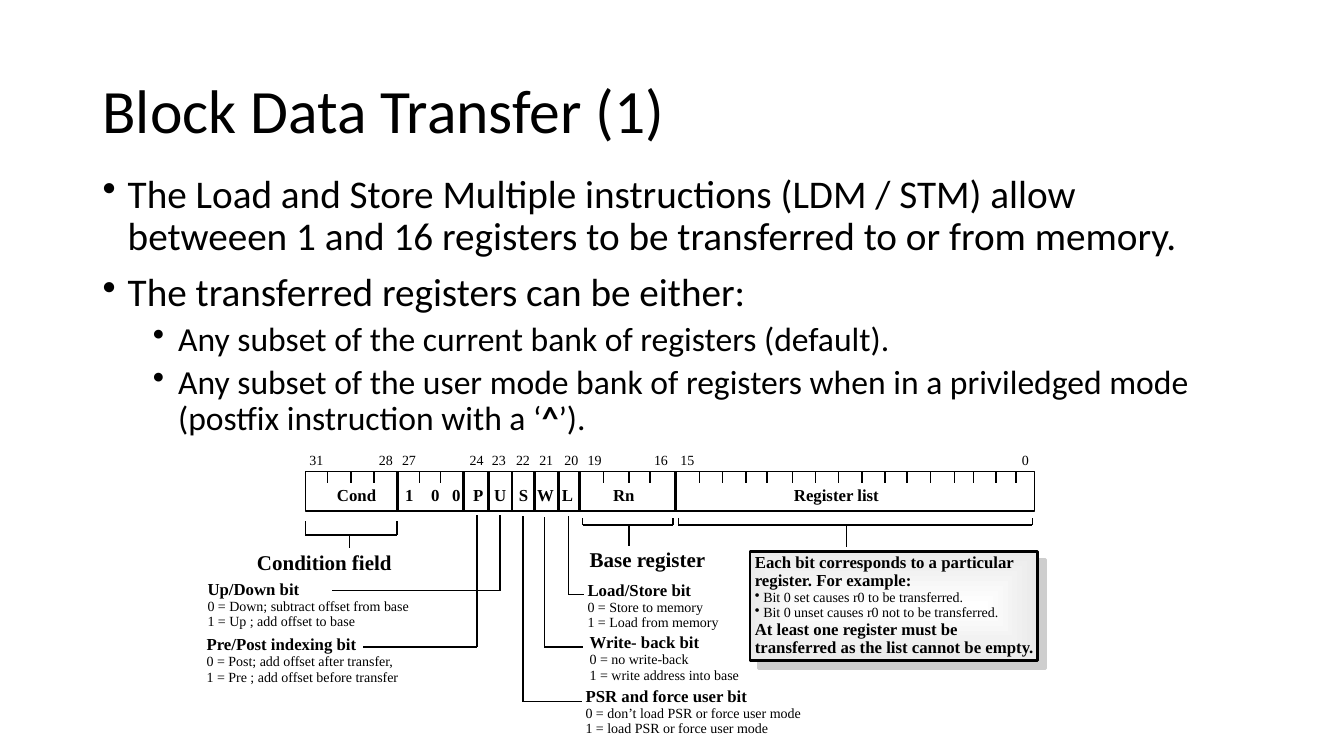
from lxml import etree
from pptx import Presentation
from pptx.dml.color import RGBColor
from pptx.enum import shapes, text
from pptx.oxml import ns
from pptx.util import Pt

COLORS = {"ink": "000000", "paper": "FFFFFF", "mist": "EAEAEA", "shade": "CECECE"}
SANS, SERIF = "Calibri", "Times New Roman"

BIT_NUMBERS = {
    31: 216, 28: 265.7, 27: 282.2, 24: 330.5, 23: 346.3, 22: 363.6,
    21: 380.2, 20: 398.2, 19: 414.7, 16: 462.2, 15: 481, 0: 725,
}
TICKS = [
    218.2, 234, 250.6, 267.1, 299.5, 314.6, 331.2, 349.2, 398.2, 414,
    431.3, 449.3, 464.4, 482.4, 499.7, 516.2, 532.8, 547.9, 565.9, 582.5,
    599, 615.6, 632.2, 648, 664.6, 681.8, 695.5, 711.4, 725.8,
]
DIVIDERS = [283.7, 331.2, 349.2, 365.8, 381.6, 398.9, 414, 482.4]
FIELDS = ["Cond", "1", "0", "0", "P", "U", "S", "W", "L", "Rn", "Register list"]
FIELD_TABS = [48.6, 67.2, 82.2, 97.2, 112.2, 130, 142.9, 160.7, 197.2, 326.4]
BRACKETS = [
    (218.2, 283.7, 372.2, 382.3, 249.8, 391.7),
    (416.2, 480.6, 370.1, 375.1, 449.3, 390.2),
    (484.6, 737.3, 370.1, 375.1, 604.8, 391),
]
LEADERS = [
    (340.6, 368, 462.2, 259.2),
    (357.1, 368, 422, 236.9),
    (406.1, 368.6, 424.8, 416.9),
    (388.8, 369.4, 462.2, 416.2),
    (373.7, 368.6, 501.1, 415.4),
]
BIT_NOTES = [
    ((414.7, 413.3, 105.1, 39.6), False,
     ["Load/Store bit", "0 = Store to memory", "1 = Load from memory"]),
    ((416.2, 450.7, 118.1, 39.6), False,
     ["Write- back bit", "0 = no write-back", "1 = write address into base"]),
    ((413.3, 488.9, 233.3, 39.6), True,
     ["PSR and force user bit", "0 = don’t load PSR or force user mode",
      "1 = load PSR or force user mode"]),
    ((143.3, 412.6, 156.2, 39.6), False,
     ["Up/Down bit", "0 = Down; subtract offset from base",
      "1 = Up ; add offset to base"]),
    ((142.6, 452.2, 149, 39.6), False,
     ["Pre/Post indexing bit", "0 = Post; add offset after transfer,",
      "1 = Pre ; add offset before transfer"]),
]


def rgb(name):
    return RGBColor.from_string(COLORS[name])


def style_run(run, font, size, bold=False):
    run.font.name = font
    run.font.size = Pt(size)
    run.font.bold = bold
    run.font.color.rgb = rgb("ink")


def add_text(slide, box, lines, font=SERIF, wrap=True, spacing=0.91, inset=(5, 2.2)):
    label = slide.shapes.add_textbox(*map(Pt, box))
    frame = label.text_frame
    frame.word_wrap = wrap
    frame.margin_left = frame.margin_right = Pt(inset[0])
    frame.margin_top = frame.margin_bottom = Pt(inset[1])
    frame.text = "\n".join(line for line, _, _ in lines)
    for paragraph, (_, size, bold) in zip(frame.paragraphs, lines):
        paragraph.line_spacing = spacing
        for run in paragraph.runs:
            style_run(run, font, size, bold)
    return frame


def add_bullet(paragraph, left, hanging):
    properties = paragraph._p.get_or_add_pPr()
    properties.set("marL", str(Pt(left)))
    properties.set("indent", str(-Pt(hanging)))
    etree.SubElement(properties, ns.qn("a:buChar"), char="•")


def add_tabs(paragraph, stops):
    tabs = etree.SubElement(paragraph._p.get_or_add_pPr(), ns.qn("a:tabLst"))
    for stop in stops:
        etree.SubElement(tabs, ns.qn("a:tab"), pos=str(Pt(stop)), algn="l")


def add_line(slide, x1, y1, x2, y2, width=1):
    line = slide.shapes.add_connector(
        shapes.MSO_CONNECTOR.STRAIGHT, *map(Pt, (x1, y1, x2, y2)))
    line.line.color.rgb = rgb("ink")
    line.line.width = Pt(width)
    etree.SubElement(line._element.spPr, ns.qn("a:effectLst"))


def add_bracket(slide, left, right, top, base, stem, bottom):
    add_line(slide, left, top, left, base)
    add_line(slide, left, base, right, base)
    add_line(slide, right, base, right, top)
    add_line(slide, stem, base, stem, bottom)


def add_leader(slide, x, top, bottom, end):
    add_line(slide, x, top, x, bottom)
    add_line(slide, x, bottom, end, bottom)


def add_box(slide, box, width):
    outline = slide.shapes.add_shape(shapes.MSO_SHAPE.RECTANGLE, *map(Pt, box))
    outline.shadow.inherit = False
    outline.fill.background()
    outline.line.color.rgb = rgb("ink")
    outline.line.width = Pt(width)
    return outline


def add_note_panel(slide):
    panel = add_box(slide, (535.7, 393.8, 205.2, 77.8), 2)
    panel.fill.gradient()
    for stop, name in zip(panel.fill.gradient_stops, ("paper", "mist")):
        stop.color.rgb = rgb(name)
    properties = panel._element.spPr
    gradient = properties.find(ns.qn("a:gradFill"))
    gradient.remove(gradient.find(ns.qn("a:lin")))
    center = etree.SubElement(gradient, ns.qn("a:path"), {"path": "shape"})
    etree.SubElement(center, ns.qn("a:fillToRect"),
                     dict.fromkeys("ltrb", "50000"))
    shadow = etree.SubElement(
        properties.find(ns.qn("a:effectLst")), ns.qn("a:outerShdw"),
        dist=str(Pt(8.5)), dir="2700000", algn="ctr", rotWithShape="0")
    etree.SubElement(shadow, ns.qn("a:srgbClr"), val=COLORS["shade"])


def add_note(slide):
    add_note_panel(slide)
    note = add_text(slide, (534.2, 393.1, 212.4, 78.5), [
        ("Each bit corresponds to a particular register. For example:", 12, True),
        ("Bit 0 set causes r0 to be transferred.", 10, False),
        ("Bit 0 unset causes r0 not to be transferred.", 10, False),
        ("At least one register must be transferred as the list cannot be empty.",
         12, True)])
    for example in note.paragraphs[1:3]:
        add_bullet(example, 6, 6)


def add_body(slide):
    body = add_text(slide, (66.2, 121, 828, 365.8), [
        ("The Load and Store Multiple instructions (LDM / STM) allow betweeen "
         "1 and 16 registers to be transferred to or from memory.", 28, False),
        ("The transferred registers can be either:", 28, False),
        ("Any subset of the current bank of registers (default).", 24, False),
        ("Any subset of the user mode bank of registers when in a priviledged "
         "mode (postfix instruction with a ‘", 24, False)],
        SANS, spacing=0.9, inset=(7.2, 3.6))
    for ending, bold in (("^", True), ("’).", False)):
        run = body.paragraphs[3].add_run()
        run.text = ending
        style_run(run, SANS, 24, bold)
    for paragraph, level in zip(body.paragraphs, (0, 0, 1, 1)):
        paragraph.level = level
        paragraph.space_before = Pt(5 if level else 10)
        add_bullet(paragraph, 54 if level else 18, 18)


def add_instruction_word(slide):
    add_box(slide, (218.2, 337, 520.6, 28), 1)
    for x in TICKS:
        add_line(slide, x, 337, x, 345)
    for x in DIVIDERS:
        add_line(slide, x, 337, x, 365, 2)
    fields = add_text(slide, (229.7, 343.4, 514, 19.4),
                      [("\t".join(FIELDS), 12, True)], spacing=1.04, inset=(11, 2.2))
    add_tabs(fields.paragraphs[0], FIELD_TABS)
    for bit, left in BIT_NUMBERS.items():
        add_text(slide, (left, 320, 20.9 if bit else 15.8, 16.6),
                 [(str(bit), 10, False)], wrap=False, spacing=1.0)


def main():
    deck = Presentation()
    deck.slide_width, deck.slide_height = Pt(960), Pt(540)
    slide = deck.slides.add_slide(deck.slide_layouts[6])
    title = add_text(slide, (66.2, 28.8, 828, 104.4),
                     [("Block Data Transfer (1)", 44, False)],
                     SANS, spacing=0.9, inset=(7.2, 3.6))
    title.vertical_anchor = text.MSO_ANCHOR.MIDDLE
    add_instruction_word(slide)
    for bracket in BRACKETS:
        add_bracket(slide, *bracket)
    for leader in LEADERS:
        add_leader(slide, *leader)
    for box, caption in (((178.6, 392.4, 108, 20.9), "Condition field"),
                         ((416.2, 390.2, 92.9, 20.2), "Base register")):
        add_text(slide, box, [(caption, 15, True)], wrap=False, spacing=0.9)
    for box, wrap, (heading, *values) in BIT_NOTES:
        add_text(slide, box, [(heading, 12, True)] + [(v, 10, False) for v in values],
                 wrap=wrap)
    add_note(slide)
    add_body(slide)
    deck.save("out.pptx")


if __name__ == "__main__":
    main()
